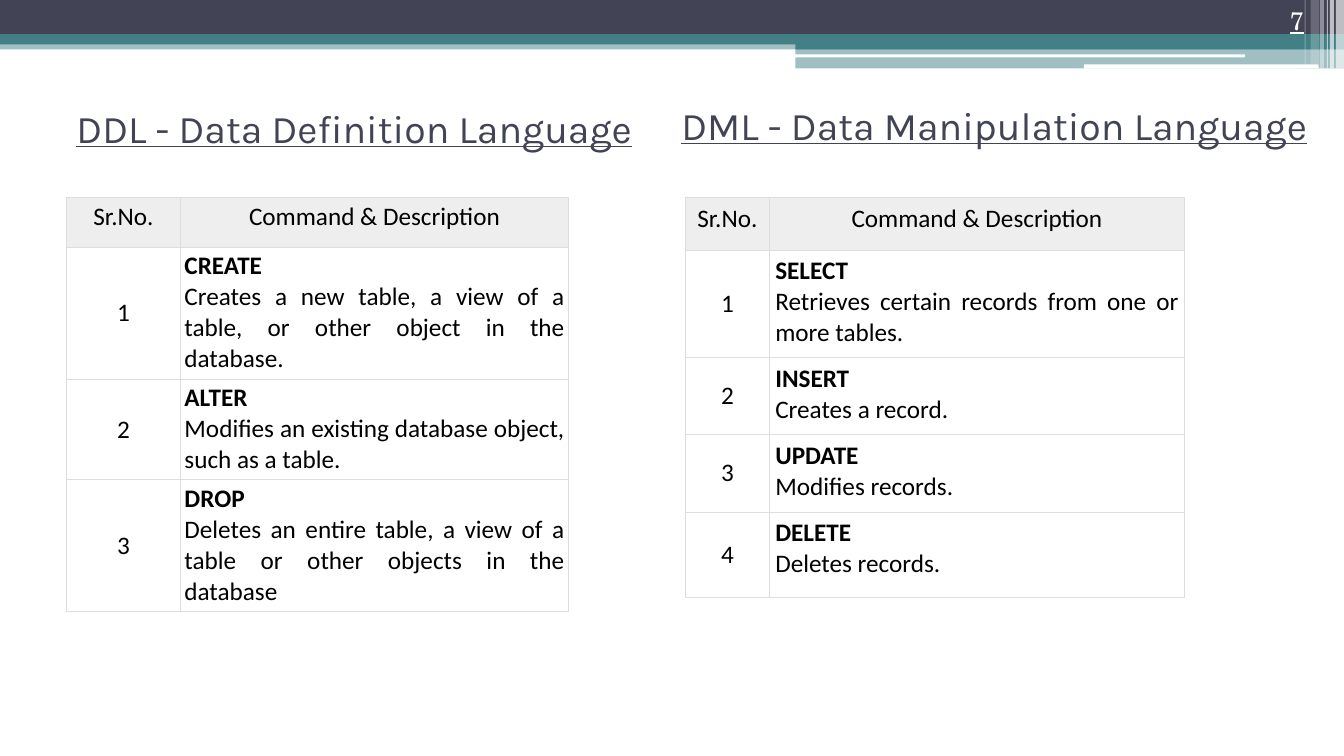
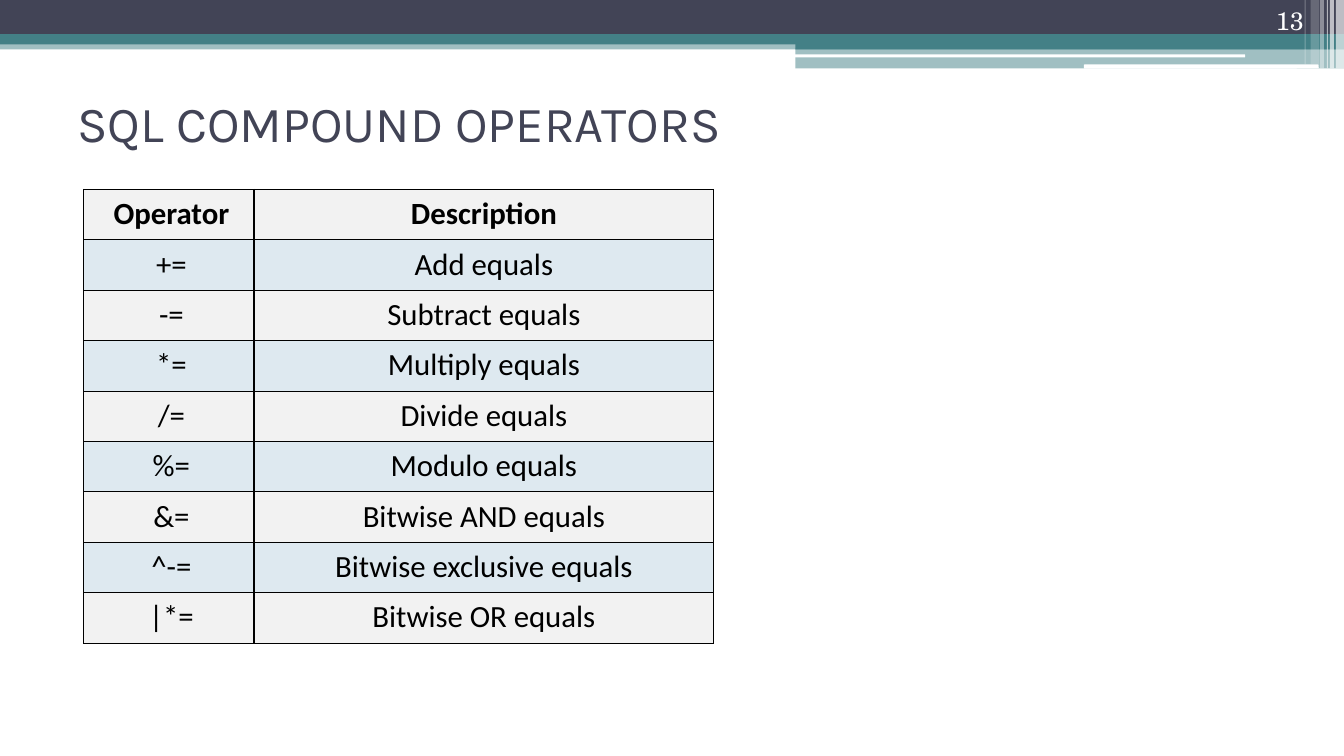
from dataclasses import dataclass
from typing import Any

from lxml import etree
from pptx import Presentation
from pptx import util as u
from pptx.dml.color import RGBColor
from pptx.enum import shapes, text
from pptx.oxml import ns


@dataclass(frozen=True)
class Theme:
    navy: str = "424456"
    teal: str = "438086"
    white: str = "FFFFFF"
    black: str = "000000"
    head_grey: str = "EEEEEE"
    rule_grey: str = "DDDDDD"
    band_grey: str = "F2F2F2"
    band_blue: str = "DEE9F0"
    title_font: str = "Karla"
    body_font: str = "Calibri"
    number_font: str = "TeX Gyre Schola"
    title_size: int = 36
    heading_size: int = 28
    operator_size: int = 22
    body_size: int = 18


THEME = Theme()
LEFT, CENTER = text.PP_ALIGN.LEFT, text.PP_ALIGN.CENTER
RIGHT, JUSTIFY = text.PP_ALIGN.RIGHT, text.PP_ALIGN.JUSTIFY
TOP, MIDDLE, BOTTOM = (
    text.MSO_ANCHOR.TOP, text.MSO_ANCHOR.MIDDLE, text.MSO_ANCHOR.BOTTOM)
SIDES = ("margin_left", "margin_top", "margin_right", "margin_bottom")


@dataclass(frozen=True)
class Area:
    left: float
    top: float
    width: float
    height: float

    def lengths(self) -> list[u.Length]:
        return [u.Inches(value) for value in
                (self.left, self.top, self.width, self.height)]


@dataclass(frozen=True)
class Band:
    area: Area
    color: str
    opacity: int = 100
    rounded: bool = False


@dataclass(frozen=True)
class Style:
    font: str
    size: int
    color: str
    bold: bool = False
    underline: bool = False


@dataclass(frozen=True)
class Para:
    words: str
    style: Style
    align: Any = LEFT


@dataclass(frozen=True)
class Entry:
    paras: list[Para]
    margins: tuple[float, float, float, float]
    anchor: Any = TOP
    fill: str | None = None


@dataclass(frozen=True)
class Grid:
    left: float
    top: float
    columns: list[float]
    heights: list[float]
    entries: list[list[Entry]]
    border: str
    border_width: float


BANDS = [
    Band(Area(0, 0.4, 13.33, 0.09), THEME.teal, 50),
    Band(Area(0, 0, 13.33, 0.34), THEME.navy),
    Band(Area(0, 0.34, 13.33, 0.1), THEME.teal),
    Band(Area(7.89, 0.39, 5.44, 0.1), THEME.teal),
    Band(Area(7.89, 0.48, 5.44, 0.2), THEME.teal, 50),
    Band(Area(7.88, 0.54, 4.47, 0.03), THEME.white, rounded=True),
    Band(Area(10.75, 0.64, 2.33, 0.04), THEME.white, rounded=True),
    *(Band(Area(left, 0, width, height), THEME.white, opacity)
      for left, width, height, opacity in (
          (13.25, 0.08, 0.68, 65), (13.19, 0.04, 0.68, 65),
          (13.16, 0.01, 0.68, 60), (13.09, 0.04, 0.68, 40),
          (13, 0.08, 0.64, 20), (12.94, 0.01, 0.64, 30))),
]


def apply(target: Any, values: dict[str, Any]) -> None:
    for name, value in values.items():
        setattr(target, name, value)


def margin_values(margins: tuple[float, float, float, float]) -> dict[str, Any]:
    return {side: u.Inches(value) for side, value in zip(SIDES, margins)}


def write(frame: Any, paras: list[Para]) -> None:
    for index, para in enumerate(paras):
        line = frame.add_paragraph() if index else frame.paragraphs[0]
        line.alignment = para.align
        span = line.add_run()
        span.text = para.words
        style = para.style
        apply(span.font, {"name": style.font, "size": u.Pt(style.size),
                          "bold": style.bold, "underline": style.underline})
        span.font.color.rgb = RGBColor.from_string(style.color)


def draw_band(page: Any, band: Band) -> None:
    kind = (shapes.MSO_SHAPE.ROUNDED_RECTANGLE if band.rounded
            else shapes.MSO_SHAPE.RECTANGLE)
    box = page.shapes.add_shape(kind, *band.area.lengths())
    box.shadow.inherit = False
    box.line.fill.background()
    box.fill.solid()
    box.fill.fore_color.rgb = RGBColor.from_string(band.color)
    if band.opacity < 100:
        color = box.element.spPr.find(".//" + ns.qn("a:srgbClr"))
        etree.SubElement(color, ns.qn("a:alpha"), val=str(band.opacity * 1000))


def draw_text(page: Any, area: Area, para: Para, anchor: Any = TOP,
              bottom_margin: float = 0.05) -> None:
    frame = page.shapes.add_textbox(*area.lengths()).text_frame
    apply(frame, {"word_wrap": True, "vertical_anchor": anchor,
                  **margin_values((0.1, 0.05, 0.1, bottom_margin))})
    write(frame, [para])


def draw_borders(cell: Any, color: str, width: float) -> None:
    properties = cell._tc.get_or_add_tcPr()
    for side in ("lnL", "lnR", "lnT", "lnB"):
        line = etree.SubElement(properties, ns.qn("a:" + side),
                                w=str(u.Pt(width)))
        fill = etree.SubElement(line, ns.qn("a:solidFill"))
        etree.SubElement(fill, ns.qn("a:srgbClr"), val=color)


def draw_grid(page: Any, grid: Grid) -> None:
    area = Area(grid.left, grid.top, sum(grid.columns), sum(grid.heights))
    table = page.shapes.add_table(
        len(grid.heights), len(grid.columns), *area.lengths()).table
    apply(table, {"first_row": False, "horz_banding": False})
    for column, width in zip(table.columns, grid.columns):
        column.width = u.Inches(width)
    for row, height, entries in zip(table.rows, grid.heights, grid.entries):
        row.height = u.Inches(height)
        for cell, entry in zip(row.cells, entries):
            draw_borders(cell, grid.border, grid.border_width)
            apply(cell, {"vertical_anchor": entry.anchor,
                         **margin_values(entry.margins)})
            if entry.fill:
                cell.fill.solid()
                cell.fill.fore_color.rgb = RGBColor.from_string(entry.fill)
            else:
                cell.fill.background()
            write(cell.text_frame, entry.paras)


def command_grid(left: float, columns: list[float], heights: list[float],
                 inset: float, commands: list[tuple[str, str]]) -> Grid:
    plain = Style(THEME.body_font, THEME.body_size, THEME.black)
    strong = Style(THEME.body_font, THEME.body_size, THEME.black, bold=True)
    margins = (inset,) * 4
    entries = [[Entry([Para(words, plain, CENTER)], margins,
                      fill=THEME.head_grey)
                for words in ("Sr.No.", "Command & Description")]]
    for number, (name, description) in enumerate(commands, 1):
        entries.append([
            Entry([Para(str(number), plain, CENTER)], margins, MIDDLE),
            Entry([Para(name, strong, JUSTIFY),
                   Para(description, plain, JUSTIFY)], margins)])
    return Grid(left, 1.96, columns, heights, entries, THEME.rule_grey, 0.5)


def operator_grid(operators: list[tuple[str, str]]) -> Grid:
    entries = []
    for index, pair in enumerate([("Operator", "Description"), *operators]):
        style = Style(THEME.body_font, THEME.operator_size, THEME.black,
                      bold=index == 0)
        fill = THEME.band_blue if index % 2 else THEME.band_grey
        entries.append([
            Entry([Para(words, style, CENTER)], (left, 0.06, 0.06, 0.06),
                  fill=fill)
            for words, left in zip(pair, (0.11, 0.06))])
    return Grid(0.83, 1.88, [1.69, 4.56], [0.5] * len(entries), entries,
                THEME.black, 1)


def add_page(deck: Any, number: int, underline: bool = False) -> Any:
    page = deck.slides.add_slide(deck.slide_layouts[6])
    for band in BANDS:
        draw_band(page, band)
    style = Style(THEME.number_font, THEME.body_size, THEME.white,
                  underline=underline)
    draw_text(page, Area(11.92, 0, 1.11, 0.4),
              Para(str(number), style, RIGHT), BOTTOM)
    return page


def build_languages(deck: Any) -> None:
    page = add_page(deck, 7, underline=True)
    heading = Style(THEME.title_font, THEME.heading_size, THEME.navy,
                    underline=True)
    draw_text(page, Area(0.66, 0.89, 12, 1.17),
              Para("DDL - Data Definition Language", heading), MIDDLE, 0.46)
    draw_text(page, Area(6.66, 0.96, 6.6, 1.04),
              Para("DML - Data Manipulation Language", heading))
    draw_grid(page, command_grid(
        0.66, [1.13, 3.85], [0.49, 1.31, 1, 1.31], 0.04, [
            ("CREATE", "Creates a new table, a view of a table, "
                       "or other object in the database."),
            ("ALTER", "Modifies an existing database object, "
                      "such as a table."),
            ("DROP", "Deletes an entire table, a view of a table "
                     "or other objects in the database")]))
    draw_grid(page, command_grid(
        6.8, [0.83, 4.12], [0.52, 1.07, 0.76, 0.77, 0.85], 0.06, [
            ("SELECT", "Retrieves certain records from one or more tables."),
            ("INSERT", "Creates a record."),
            ("UPDATE", "Modifies records."),
            ("DELETE", "Deletes records.")]))


def build_operators(deck: Any) -> None:
    page = add_page(deck, 13)
    title = Style(THEME.title_font, THEME.title_size, THEME.navy)
    draw_text(page, Area(0.67, 0.63, 12, 1.17),
              Para("SQL COMPOUND OPERATORS", title), MIDDLE)
    draw_grid(page, operator_grid([
        ("+=", "Add equals"),
        ("-=", "Subtract equals"),
        ("*=", "Multiply equals"),
        ("/=", "Divide equals"),
        ("%=", "Modulo equals"),
        ("&=", "Bitwise AND equals"),
        ("^-=", "Bitwise exclusive equals"),
        ("|*=", "Bitwise OR equals")]))


def main() -> None:
    deck = Presentation()
    apply(deck, {"slide_width": u.Inches(13.33),
                 "slide_height": u.Inches(7.5)})
    build_languages(deck)
    build_operators(deck)
    deck.save("out.pptx")


main()
